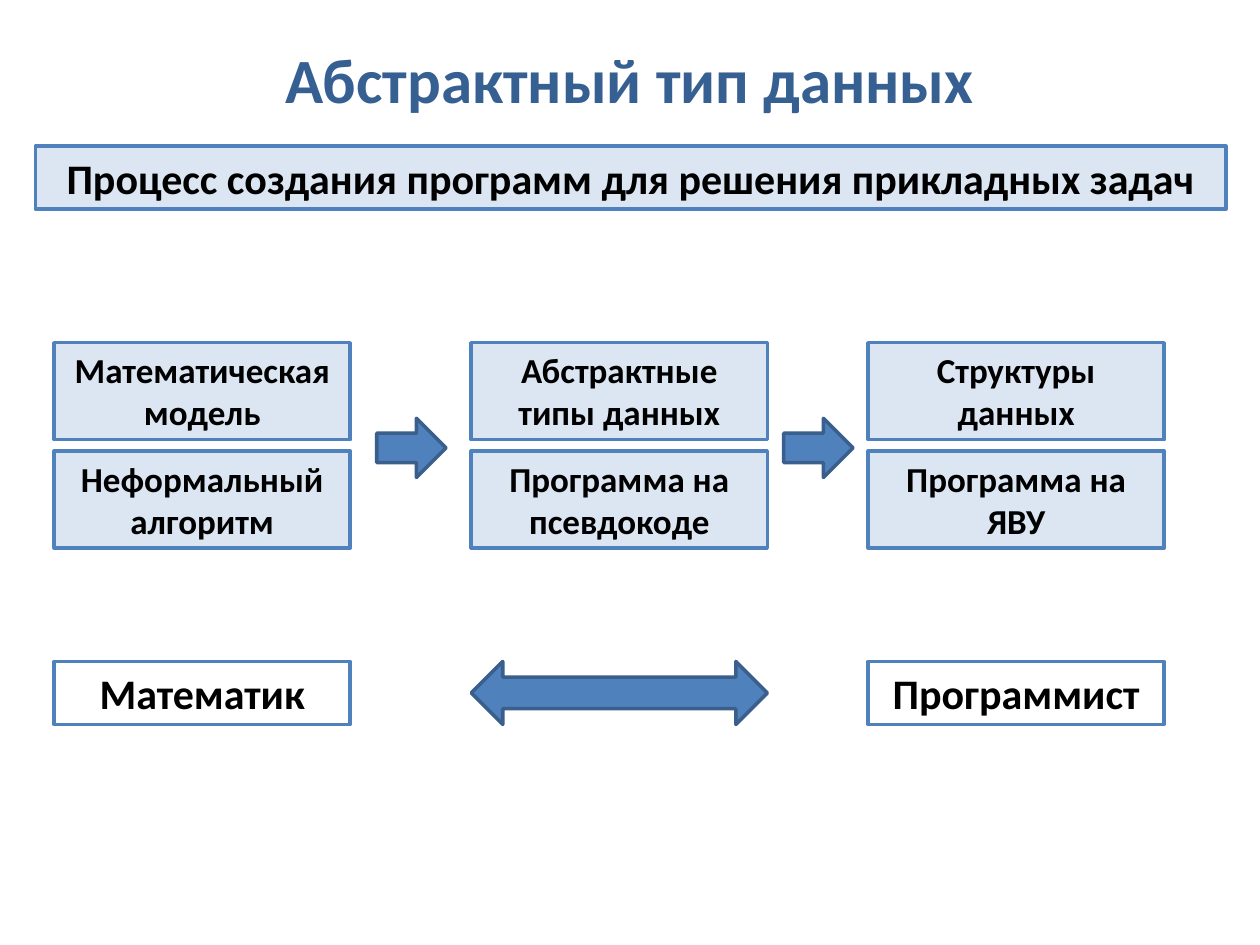
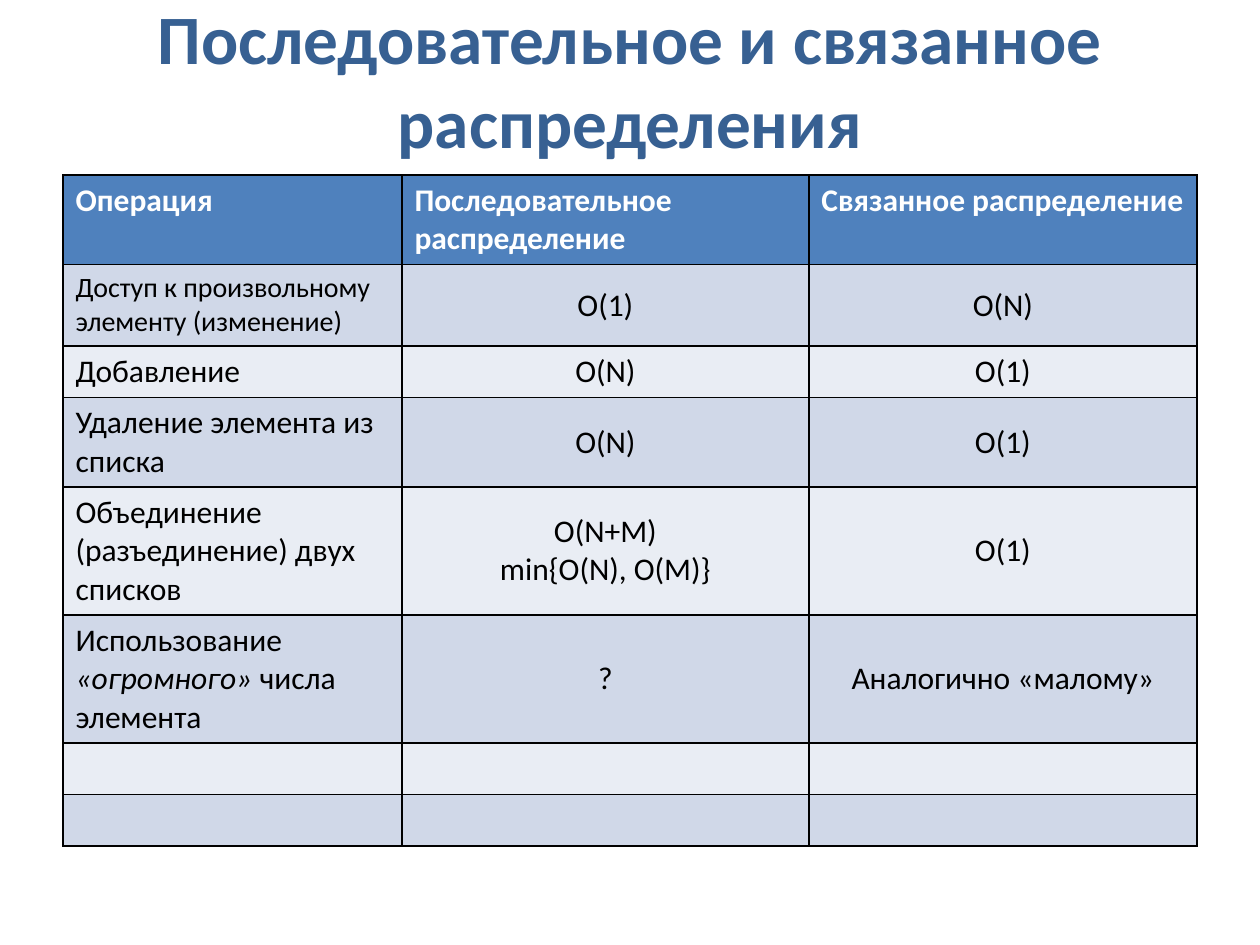
from lxml import etree
from pptx import Presentation
from pptx.dml.color import RGBColor
from pptx.enum.shapes import MSO_SHAPE
from pptx.enum.text import MSO_ANCHOR, PP_ALIGN
from pptx.oxml.ns import qn
from pptx.util import Inches, Pt

RECTANGLE = MSO_SHAPE.RECTANGLE
RIGHT_ARROW = MSO_SHAPE.RIGHT_ARROW
DOUBLE_ARROW = MSO_SHAPE.LEFT_RIGHT_ARROW
LEFT, CENTER = PP_ALIGN.LEFT, PP_ALIGN.CENTER
TOP, MIDDLE = MSO_ANCHOR.TOP, MSO_ANCHOR.MIDDLE

FONT = "Calibri"
TITLE_BLUE = RGBColor(0x37, 0x60, 0x92)
BLUE = RGBColor(0x4F, 0x81, 0xBD)
DARK_BLUE = RGBColor(0x3A, 0x5F, 0x8C)
PALE_BLUE = RGBColor(0xDC, 0xE6, 0xF2)
BAND_DARK = RGBColor(0xD0, 0xD8, 0xE8)
BAND_LIGHT = RGBColor(0xE9, 0xED, 0xF4)
WHITE = RGBColor(0xFF, 0xFF, 0xFF)
BLACK = RGBColor(0x00, 0x00, 0x00)

BOX_WIDTH = 2.35
STAGES = [
    (0.43, "Математическая модель", "Неформальный алгоритм"),
    (3.74, "Абстрактные типы данных", "Программа на псевдокоде"),
    (6.89, "Структуры данных", "Программа на ЯВУ"),
]

COLUMN_WIDTHS = [2.69, 3.23, 3.08]
ROW_HEIGHT = 0.41
HEADERS = ["Операция", "Последовательное распределение", "Связанное распределение"]
OPERATIONS = [
    ["Доступ к произвольному элементу (изменение)", "O(1)", "O(N)"],
    ["Добавление", "O(N)", "O(1)"],
    ["Удаление элемента из списка", "O(N)", "O(1)"],
    ["Объединение (разъединение) двух списков", "O(N+M)\nmin{O(N), O(M)}", "O(1)"],
    [["Использование ", "«огромного»", " числа элемента"], "?", "Аналогично «малому»"],
    ["", "", ""],
    ["", "", ""],
]


def add_run(paragraph, text, size, color, bold=False, italic=False):
    run = paragraph.add_run()
    run.text = text
    font = run.font
    font.name, font.size, font.bold, font.italic = FONT, Pt(size), bold, italic
    font.color.rgb = color


def add_titled_slide(presentation, title, size):
    slide = presentation.slides.add_slide(presentation.slide_layouts[5])
    placeholder = slide.shapes.title
    placeholder.left, placeholder.top = Inches(0), Inches(0)
    placeholder.width, placeholder.height = Inches(10), Inches(1.25)
    placeholder.text_frame.vertical_anchor = MIDDLE
    paragraph = placeholder.text_frame.paragraphs[0]
    paragraph.alignment = CENTER
    add_run(paragraph, title, size, TITLE_BLUE, bold=True)
    return slide


def add_filled_shape(slide, kind, left, top, width, height, fill, line):
    shape = slide.shapes.add_shape(
        kind, Inches(left), Inches(top), Inches(width), Inches(height))
    shape.shadow.inherit = False
    shape.fill.solid()
    shape.fill.fore_color.rgb = fill
    shape.line.color.rgb = line
    shape.line.width = Pt(2)
    return shape


def add_box(slide, text, left, top, width, height, size, fill=PALE_BLUE):
    shape = add_filled_shape(slide, RECTANGLE, left, top, width, height, fill, BLUE)
    frame = shape.text_frame
    frame.word_wrap = True
    frame.vertical_anchor = TOP
    paragraph = frame.paragraphs[0]
    paragraph.alignment = CENTER
    add_run(paragraph, text, size, BLACK, bold=True)


def add_arrow(slide, kind, left, top, width, height):
    add_filled_shape(slide, kind, left, top, width, height, BLUE, DARK_BLUE)


def set_borders(cell):
    properties = cell._tc.get_or_add_tcPr()
    for index, side in enumerate(("lnL", "lnR", "lnT", "lnB")):
        border = etree.Element(qn(f"a:{side}"), w=str(Pt(1)))
        fill = etree.SubElement(border, qn("a:solidFill"))
        etree.SubElement(fill, qn("a:srgbClr"), val=str(BLACK))
        properties.insert(index, border)


def fill_cell(cell, content, fill, size=18, color=BLACK, bold=False,
              alignment=LEFT, anchor=MIDDLE):
    cell.fill.solid()
    cell.fill.fore_color.rgb = fill
    cell.vertical_anchor = anchor
    set_borders(cell)
    paragraph = cell.text_frame.paragraphs[0]
    paragraph.alignment = alignment
    parts = [content] if isinstance(content, str) else content
    for part in parts:
        for index, line in enumerate(part.split("\n")):
            if index:
                paragraph.add_line_break()
            if line:
                add_run(paragraph, line, size, color, bold, italic=part == "«огромного»")


def add_comparison_table(slide):
    row_count = len(OPERATIONS) + 1
    table = slide.shapes.add_table(
        row_count, len(HEADERS), Inches(0.5), Inches(1.39),
        Inches(sum(COLUMN_WIDTHS)), Inches(ROW_HEIGHT * row_count)).table
    for column, width in zip(table.columns, COLUMN_WIDTHS):
        column.width = Inches(width)
    for row in table.rows:
        row.height = Inches(ROW_HEIGHT)
    for column, header in enumerate(HEADERS):
        fill_cell(table.cell(0, column), header, BLUE, color=WHITE, bold=True, anchor=TOP)
    for row, contents in enumerate(OPERATIONS, start=1):
        band = BAND_DARK if row % 2 else BAND_LIGHT
        for column, content in enumerate(contents):
            fill_cell(table.cell(row, column), content, band,
                      size=16 if (row, column) == (1, 0) else 18,
                      alignment=CENTER if column else LEFT)


def build_process_slide(presentation):
    slide = add_titled_slide(presentation, "Абстрактный тип данных", 36)
    add_box(slide, "Процесс создания программ для решения прикладных задач",
            0.28, 1.16, 9.45, 0.5, 24)
    for left, model, program in STAGES:
        add_box(slide, model, left, 2.72, BOX_WIDTH, 0.77, 20)
        add_box(slide, program, left, 3.58, BOX_WIDTH, 0.77, 20)
    for left in (2.99, 6.22):
        add_arrow(slide, RIGHT_ARROW, left, 3.32, 0.55, 0.47)
    first, middle, last = [stage[0] for stage in STAGES]
    for left, role in ((first, "Математик"), (last, "Программист")):
        add_box(slide, role, left, 5.25, BOX_WIDTH, 0.5, 24, WHITE)
    add_arrow(slide, DOUBLE_ARROW, middle, 5.25, BOX_WIDTH, 0.5)


def build_comparison_slide(presentation):
    slide = add_titled_slide(
        presentation, "Последовательное и связанное распределения", 39.6)
    add_comparison_table(slide)


def main():
    presentation = Presentation()
    presentation.slide_width = Inches(10)
    presentation.slide_height = Inches(7.5)
    build_process_slide(presentation)
    build_comparison_slide(presentation)
    presentation.save("out.pptx")


if __name__ == "__main__":
    main()
